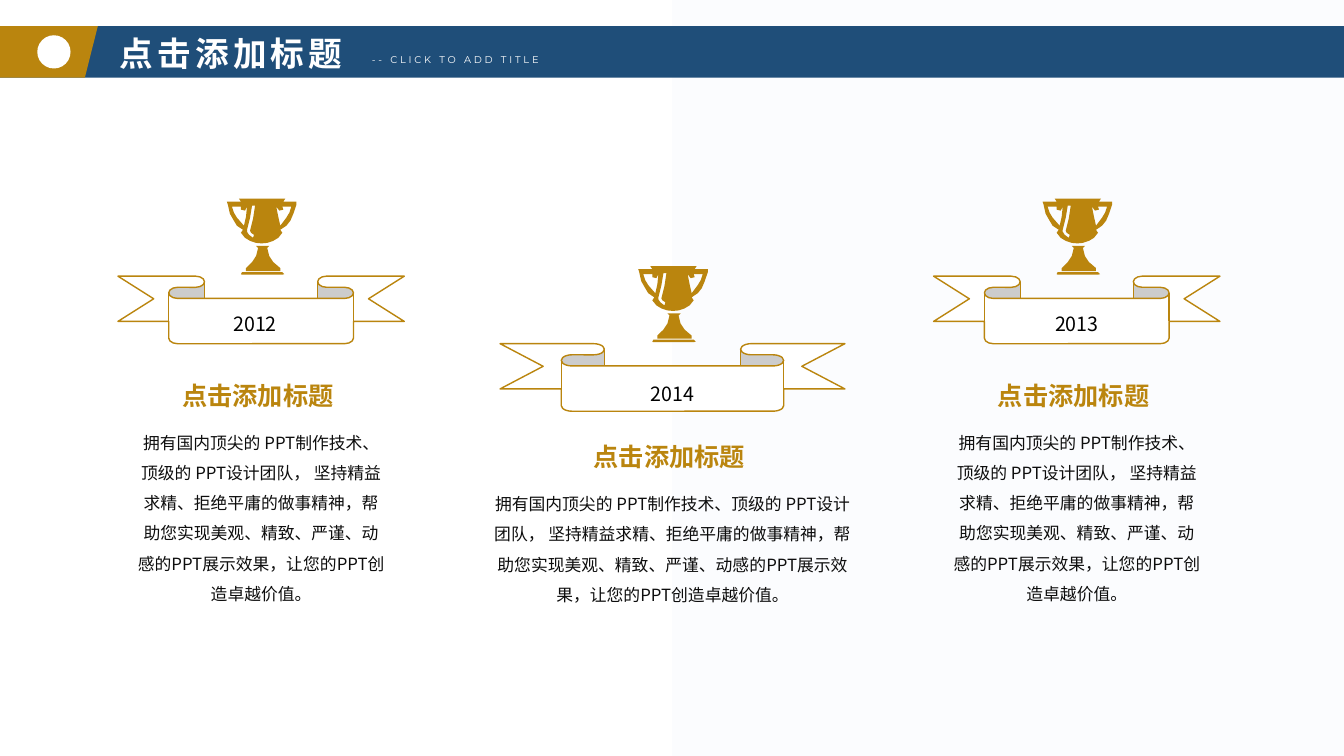
from lxml import etree
from pptx import Presentation
from pptx.dml.color import RGBColor
from pptx.enum.shapes import MSO_SHAPE
from pptx.enum.text import PP_ALIGN
from pptx.oxml.ns import qn
from pptx.util import Inches, Pt

RECT = MSO_SHAPE.RECTANGLE
OVAL = MSO_SHAPE.OVAL
SLANT = MSO_SHAPE.PARALLELOGRAM
RIBBON = MSO_SHAPE.DOWN_RIBBON
LEFT, CENTER = PP_ALIGN.LEFT, PP_ALIGN.CENTER

SANS, LATIN = "Noto Sans CJK SC", "Montserrat"
NAVY, GOLD, WHITE, BLACK, INK = "1F4E79", "BA850E", "FFFFFF", "000000", "0D0D0D"
PALE = "FBFCFE"

HEADING = "点击添加标题"
BODY = ("拥有国内顶尖的 PPT制作技术、顶级的 PPT设计团队， 坚持精益求精、拒绝平庸的做事精神，"
        "帮助您实现美观、精致、严谨、动感的PPT展示效果，让您的PPT创造卓越价值。")

TROPHY = [
    [(36, 72), (19, 72), (19, 69), (25, 63), (29, 57), (31, 49), (29, 47),
     (42, 47), (40, 49), (42, 57), (46, 63), (53, 69), (53, 72)],
    [(28, 7), (26, 20), (23, 32), (24, 34), (27, 36), (26, 39), (22, 36),
     (20, 33), (20, 31), (23, 19), (25, 7)],
    [(18, 12), (14, 11), (14, 8), (5, 8), (7, 14), (10, 19), (17, 27),
     (19, 18), (20, 8)],
    [(14, 3), (0, 3), (1, 6), (3, 15), (7, 22), (10, 27), (16, 31), (14, 34),
     (18, 39), (23, 42), (29, 44), (34.5, 44.5), (40, 44), (46, 42), (51, 39),
     (55, 34), (53, 31), (59, 27), (63, 22), (66, 15), (69, 6), (69, 3),
     (56, 3), (58, 0), (12, 0)],
    [(52, 12), (56, 11), (55, 8), (64, 8), (62, 14), (59, 19), (53, 27),
     (51, 18), (49, 8)],
    [(15, 73), (55, 73), (57, 75), (55, 75.5), (15, 75.5), (14, 75)],
]


def rgb(color):
    return RGBColor.from_string(color)


def paint(sp, fill, line=None):
    sp.shadow.inherit = False
    sp.fill.solid()
    sp.fill.fore_color.rgb = rgb(fill)
    if line:
        sp.line.color.rgb = rgb(line)
        sp.line.width = Pt(1)
    else:
        sp.line.fill.background()


def add_preset(s, kind, x, y, w, h, fill, line=None):
    sp = s.shapes.add_shape(kind, Inches(x), Inches(y), Inches(w), Inches(h))
    paint(sp, fill, line)
    return sp


def add_icon(s, x, y, outlines, fill):
    builder = None
    for outline in outlines:
        points = [(Inches(x + px / 100), Inches(y + py / 100)) for px, py in outline]
        if builder is None:
            builder = s.shapes.build_freeform(*points[0])
        else:
            builder.move_to(*points[0])
        builder.add_line_segments(points[1:], close=True)
    paint(builder.convert_to_shape(), fill)


def add_text(s, x, y, w, h, text, size, color, font=SANS, bold=False,
             align=LEFT, line_spacing=None, tracking=None):
    tf = s.shapes.add_textbox(Inches(x), Inches(y), Inches(w), Inches(h)).text_frame
    tf.word_wrap = True
    p = tf.paragraphs[0]
    p.text = text
    p.alignment = align
    p.line_spacing = line_spacing
    p.font.size = Pt(size)
    p.font.bold = bold
    p.font.color.rgb = rgb(color)
    p.font.name = font
    props = p.font._rPr
    etree.SubElement(props, qn("a:ea")).set("typeface", font)
    if tracking:
        props.set("spc", str(tracking * 100))


def add_background(s, prs):
    sp = s.shapes.add_shape(RECT, 0, 0, prs.slide_width, prs.slide_height)
    sp.shadow.inherit = False
    sp.line.fill.background()
    sp.fill.gradient()
    sp.fill.gradient_angle = 0
    for stop, color in zip(sp.fill.gradient_stops, (WHITE, PALE)):
        stop.color.rgb = rgb(color)


def add_header(s):
    add_preset(s, SLANT, -0.47, 0.26, 14.28, 0.51, NAVY)
    add_preset(s, SLANT, -0.4, 0.26, 1.37, 0.51, GOLD)
    add_text(s, 1.09, 0.28, 2.93, 0.51, HEADING, 24, WHITE, bold=True, tracking=3)
    add_text(s, 3.59, 0.48, 2.59, 0.22, "-- CLICK TO ADD TITLE", 7, WHITE,
             font=LATIN, tracking=2)
    add_preset(s, OVAL, 0.37, 0.35, 0.33, 0.33, WHITE)


def add_award(s, year, center, year_center, top, ribbon_w, year_top,
              heading_top, body_w, body_h):
    add_text(s, center - body_w / 2, heading_top + 0.42, body_w, body_h, BODY,
             12, INK, align=CENTER, line_spacing=1.5)
    add_text(s, center - 0.88, heading_top, 1.77, 0.4, HEADING, 18, GOLD, bold=True)
    ribbon = add_preset(s, RIBBON, center - ribbon_w / 2, top, ribbon_w, 0.67,
                        WHITE, GOLD)
    ribbon.adjustments[0] = 0.33
    ribbon.adjustments[1] = 0.645
    add_icon(s, center - 0.34, top - 0.77, TROPHY, GOLD)
    add_text(s, year_center - 0.525, year_top, 1.05, 0.34, year, 14, BLACK,
             align=CENTER)


def main():
    prs = Presentation()
    prs.slide_width, prs.slide_height = Inches(13.33), Inches(7.5)
    s = prs.slides.add_slide(prs.slide_layouts[6])
    add_background(s, prs)
    add_header(s)
    side = (2.74, 2.84, 3.05, 3.72, 2.68, 1.92)
    middle = (3.41, 3.42, 3.74, 4.33, 3.79, 1.31)
    add_award(s, "2012", 2.59, 2.53, *side)
    add_award(s, "2014", 6.67, 6.67, *middle)
    add_award(s, "2013", 10.68, 10.68, *side)
    prs.save("out.pptx")


if __name__ == "__main__":
    main()
